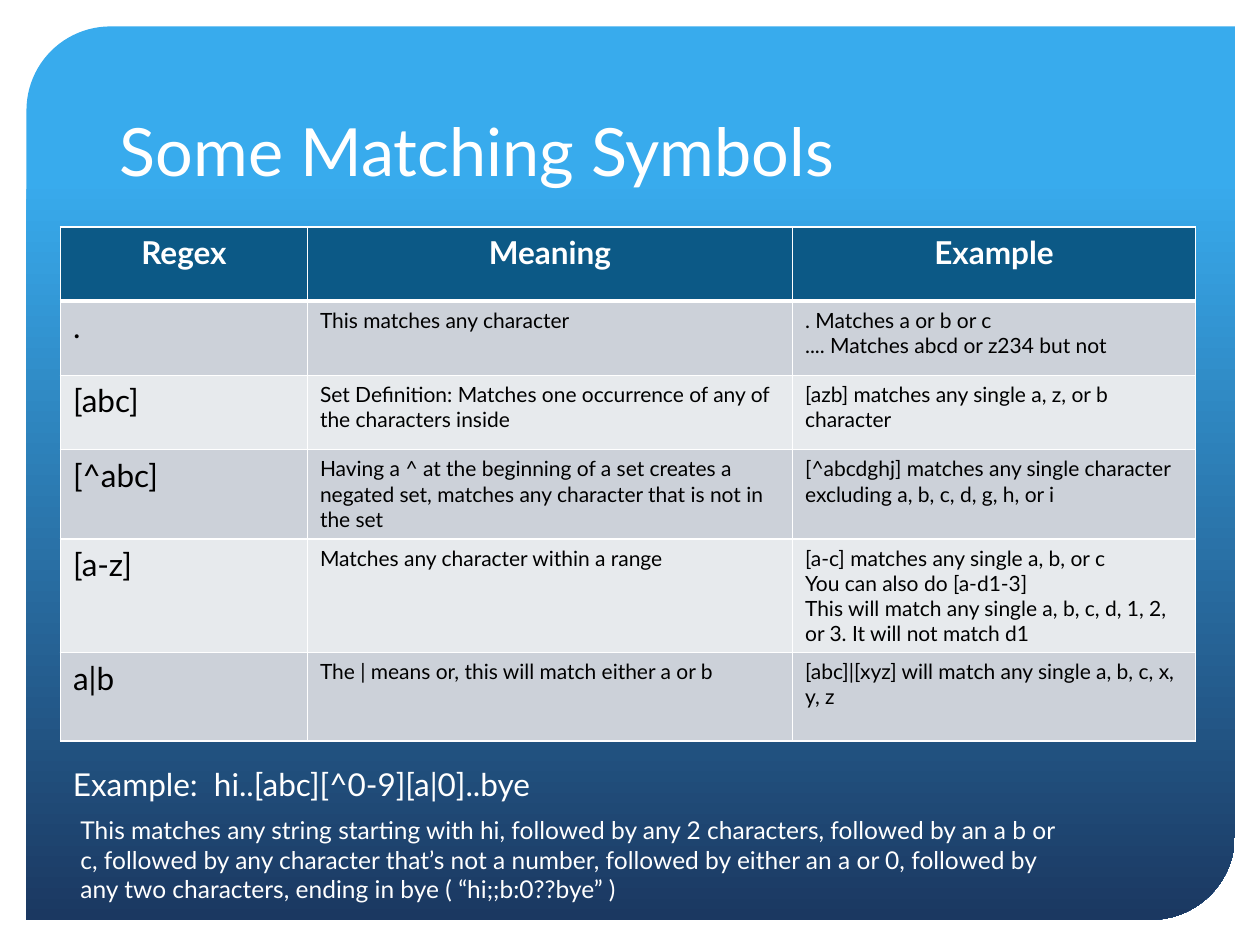
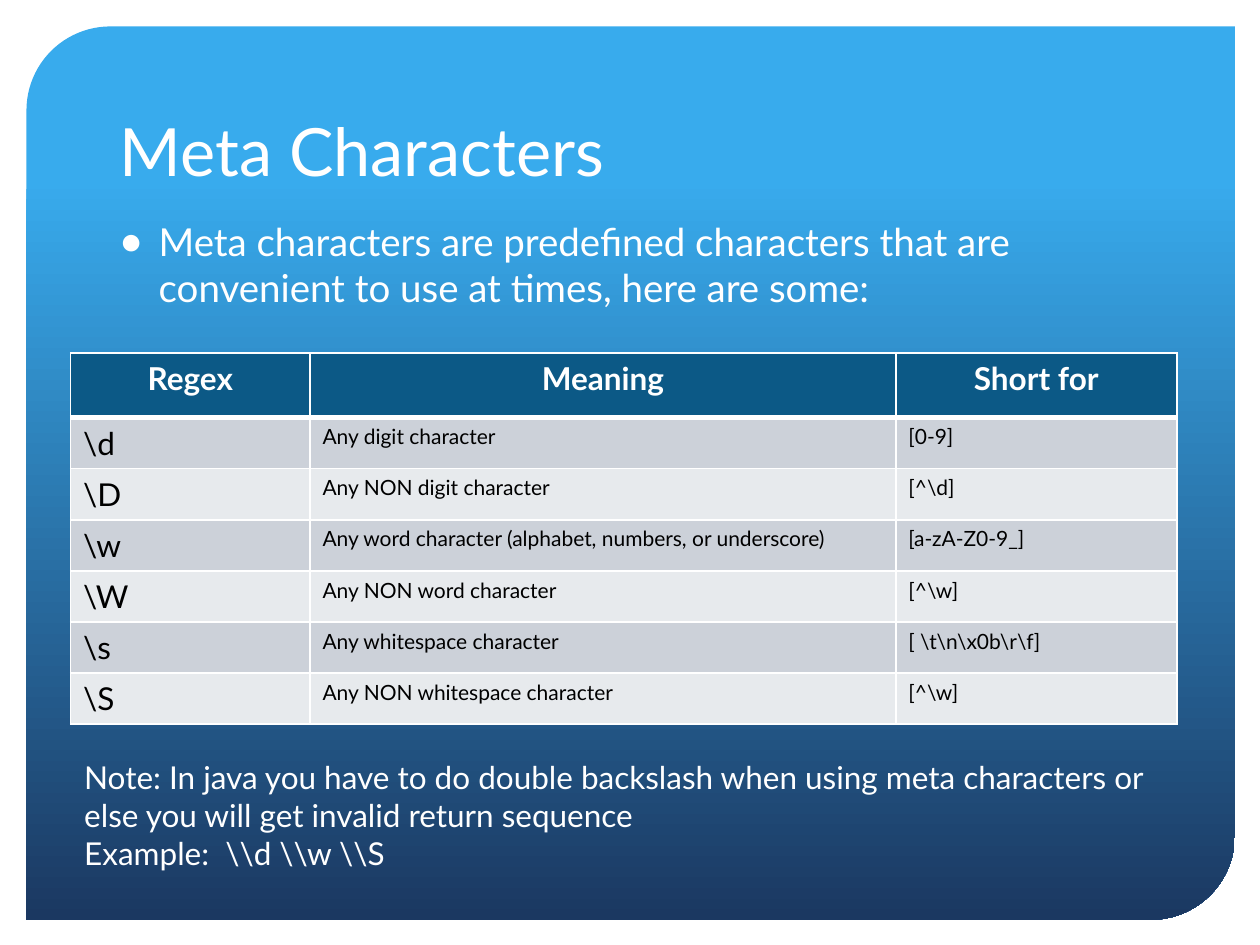
from collections import namedtuple

from lxml import etree
from pptx import Presentation
from pptx import util as u
from pptx.dml.color import RGBColor
from pptx.enum import shapes, text
from pptx.oxml import ns

WHITE = RGBColor(0xFF, 0xFF, 0xFF)
BLACK = RGBColor(0, 0, 0)
SKY = RGBColor(0x38, 0xAB, 0xED)
NAVY = RGBColor(0x1B, 0x38, 0x61)
HEADER = RGBColor(0x0C, 0x59, 0x86)
BANDS = RGBColor(0xCC, 0xD1, 0xD9), RGBColor(0xE7, 0xEA, 0xED)
FONT = "Lato"

SLIDE_W, SLIDE_H = u.Inches(10), u.Inches(7.5)
COLUMNS, ROWS = 100, 75

# Boxes are measured in grid columns and rows
Box = namedtuple("Box", "left top width height")
PANEL = Box(2.1, 2.1, 95.9, 70.9)
TITLE = Box(8.5, 4.2, 82.9, 11.4)
INTRO = Box(8.5, 16.8, 82.9, 8)

SYMBOLS = [
    ("Regex", "Meaning", "Example"),
    (".", "This matches any character",
     ". Matches a or b or c\n.... Matches abcd or z234 but not"),
    ("[abc]",
     "Set Definition: Matches one occurrence of any of the characters inside",
     "[azb] matches any single a, z, or b character"),
    ("[^abc]",
     "Having a ^ at the beginning of a set creates a negated set, "
     "matches any character that is not in the set",
     "[^abcdghj] matches any single character excluding a, b, c, d, g, h, or i"),
    ("[a-z]", "Matches any character within a range",
     "[a-c] matches any single a, b, or c\nYou can also do [a-d1-3]\n"
     "This will match any single a, b, c, d, 1, 2, or 3. It will not match d1"),
    ("a|b", "The | means or, this will match either a or b",
     "[abc]|[xyz] will match any single a, b, c, x, y, z"),
]
META = [
    ("Regex", "Meaning", "Short for"),
    (r"\d", "Any digit character", "[0-9]"),
    (r"\D", "Any NON digit character", r"[^\d]"),
    (r"\w", "Any word character (alphabet, numbers, or underscore)",
     "[a-zA-Z0-9_]"),
    (r"\W", "Any NON word character", r"[^\w]"),
    (r"\s", "Any whitespace character", r"[ \t\n\x0b\r\f]"),
    (r"\S", "Any NON whitespace character", r"[^\w]"),
]


def emu(box):
    x, y = SLIDE_W / COLUMNS, SLIDE_H / ROWS
    return [round(n) for n in
            (box.left * x, box.top * y, box.width * x, box.height * y)]


def place(shape, box):
    shape.left, shape.top, shape.width, shape.height = emu(box)


def write(frame, content, size, color=WHITE, bold=False,
          align=text.PP_ALIGN.LEFT):
    """Fill a text frame with one paragraph for each line of content."""
    for number, line in enumerate(content.split("\n")):
        paragraph = frame.add_paragraph() if number else frame.paragraphs[0]
        paragraph.alignment = align
        run = paragraph.add_run()
        run.text = line
        run.font.name, run.font.size = FONT, u.Pt(size)
        run.font.color.rgb, run.font.bold = color, bold


def add_panel(prs, slide):
    """Draw the gradient panel, then hand it to the master for every slide."""
    panel = slide.shapes.add_shape(
        shapes.MSO_SHAPE.ROUND_2_DIAG_RECTANGLE, *emu(PANEL))
    panel.adjustments[0], panel.adjustments[1] = 0.094, 0
    panel.shadow.inherit = False
    panel.line.fill.background()
    panel.fill.gradient()
    panel.fill.gradient_angle = 270
    for stop, position, color in zip(
            panel.fill.gradient_stops, (0.17, 1), (SKY, NAVY)):
        stop.position, stop.color.rgb = position, color
    panel.element.nvSpPr.cNvPr.set("id", "100")
    prs.slide_master.shapes.element.insert(2, panel.element)


def add_title(slide, content):
    title = slide.shapes.title
    place(title, TITLE)
    title.text_frame.auto_size = text.MSO_AUTO_SIZE.NONE
    title.text_frame.vertical_anchor = text.MSO_ANCHOR.BOTTOM
    write(title.text_frame, content, 38)


def add_intro(slide, content):
    body = slide.placeholders[1]
    place(body, INTRO)
    frame = body.text_frame
    frame.auto_size = text.MSO_AUTO_SIZE.NONE
    write(frame, content, 22)
    paragraph = frame.paragraphs[0]
    paragraph.space_before = u.Pt(20)
    indent = u.Inches(0.31)
    properties = paragraph.runs[0].font and paragraph._p.get_or_add_pPr()
    properties.set("marL", str(indent))
    properties.set("indent", str(-indent))
    etree.SubElement(properties, ns.qn("a:buChar")).set("char", "●")


def add_note(slide, box, content, size):
    note = slide.shapes.add_textbox(*emu(box))
    note.text_frame.word_wrap = True
    write(note.text_frame, content, size)


def set_borders(cell, row):
    """White hairlines, with a heavier rule between header and body."""
    widths = {"L": 1, "R": 1, "T": 3 if row == 1 else 1,
              "B": 3 if row == 0 else 1}
    properties = cell._tc.get_or_add_tcPr()
    for index, (side, width) in enumerate(widths.items()):
        line = etree.Element(ns.qn(f"a:ln{side}"), w=str(u.Pt(width)))
        fill = etree.SubElement(line, ns.qn("a:solidFill"))
        etree.SubElement(fill, ns.qn("a:srgbClr")).set("val", str(WHITE))
        properties.insert(index, line)


def add_regex_table(slide, box, entries, column_shares, row_shares):
    table = slide.shapes.add_table(
        len(entries), len(column_shares), *emu(box)).table
    _, _, width, height = emu(box)
    for column, share in zip(table.columns, column_shares):
        column.width = round(width * share / sum(column_shares))
    for row, share in zip(table.rows, row_shares):
        row.height = round(height * share / sum(row_shares))
    for r, entry in enumerate(entries):
        for c, content in enumerate(entry):
            cell = table.cell(r, c)
            cell.fill.solid()
            if r == 0:
                cell.fill.fore_color.rgb = HEADER
                write(cell.text_frame, content, 18, WHITE, True,
                      text.PP_ALIGN.CENTER)
            else:
                cell.fill.fore_color.rgb = BANDS[(r - 1) % 2]
                write(cell.text_frame, content, 12 if c else 18, BLACK)
            set_borders(cell, r)


def build_symbols(slide):
    add_title(slide, "Some Matching Symbols")
    add_regex_table(slide, Box(4.8, 18, 90.1, 40.8), SYMBOLS,
                    (1.96, 3.85, 3.2), (0.59, 0.59, 0.59, 0.71, 0.9, 0.7))
    add_note(slide, Box(4.8, 60.2, 76.8, 4),
             "Example:  hi..[abc][^0-9][a|0]..bye", 18)
    add_note(slide, Box(5.4, 64.2, 80, 8.1),
             "This matches any string starting with hi, followed by any 2 "
             "characters, followed by an a b or c, followed by any character "
             "that’s not a number, followed by either an a or 0, followed by "
             "any two characters, ending in bye ( “hi;;b:0??bye” )", 14)


def build_meta(slide):
    add_title(slide, "Meta Characters")
    add_intro(slide, "Meta characters are predefined characters that are "
                     "convenient to use at times, here are some:")
    add_regex_table(slide, Box(5.6, 28, 87.8, 29.5), META,
                    (1.9, 4.65, 2.23), [0.52] + [0.41] * 6)
    add_note(slide, Box(5.7, 59.7, 87.8, 10.1),
             "Note: In java you have to do double backslash when using meta "
             "characters or else you will get invalid return sequence\n"
             r"Example:  \\d \\w \\S", 18)


def main():
    prs = Presentation()
    prs.slide_width, prs.slide_height = SLIDE_W, SLIDE_H
    title_and_body, title_only = prs.slide_layouts[1], prs.slide_layouts[5]
    symbols = prs.slides.add_slide(title_only)
    add_panel(prs, symbols)
    build_symbols(symbols)
    build_meta(prs.slides.add_slide(title_and_body))
    prs.save("out.pptx")


if __name__ == "__main__":
    main()
